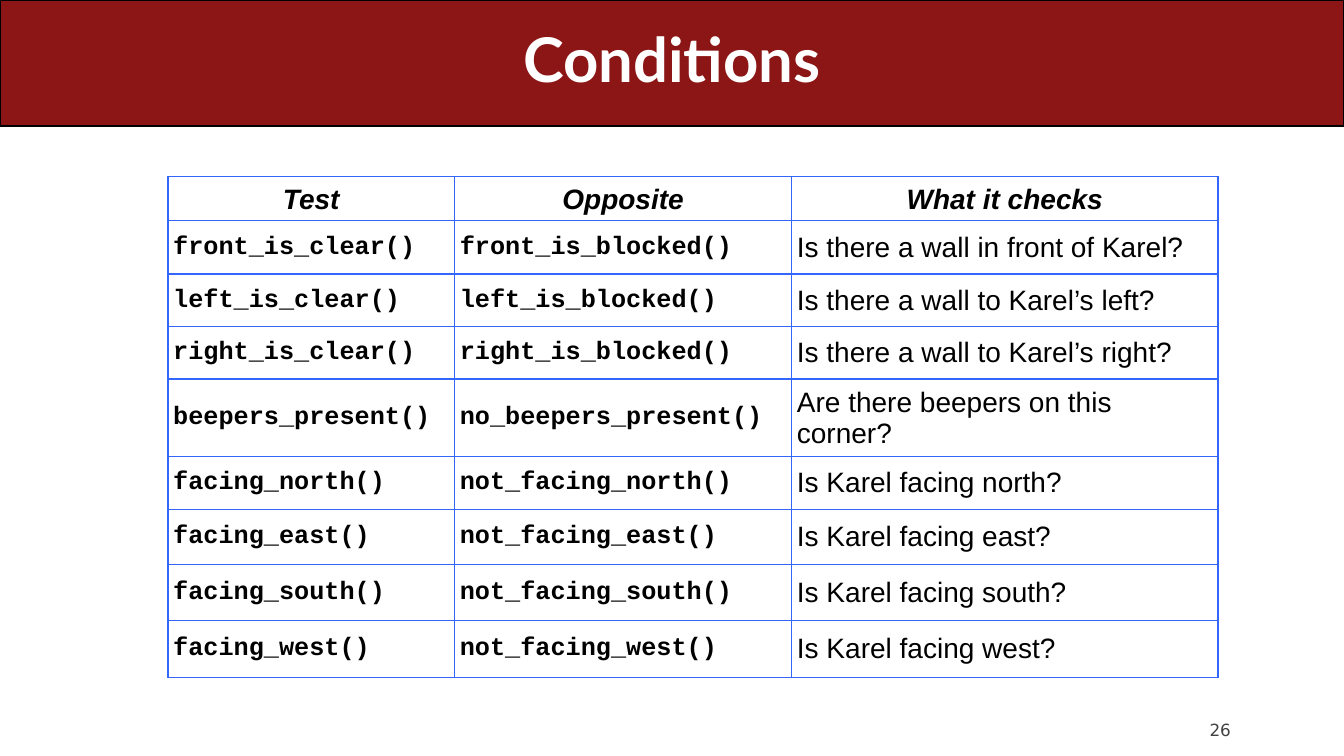
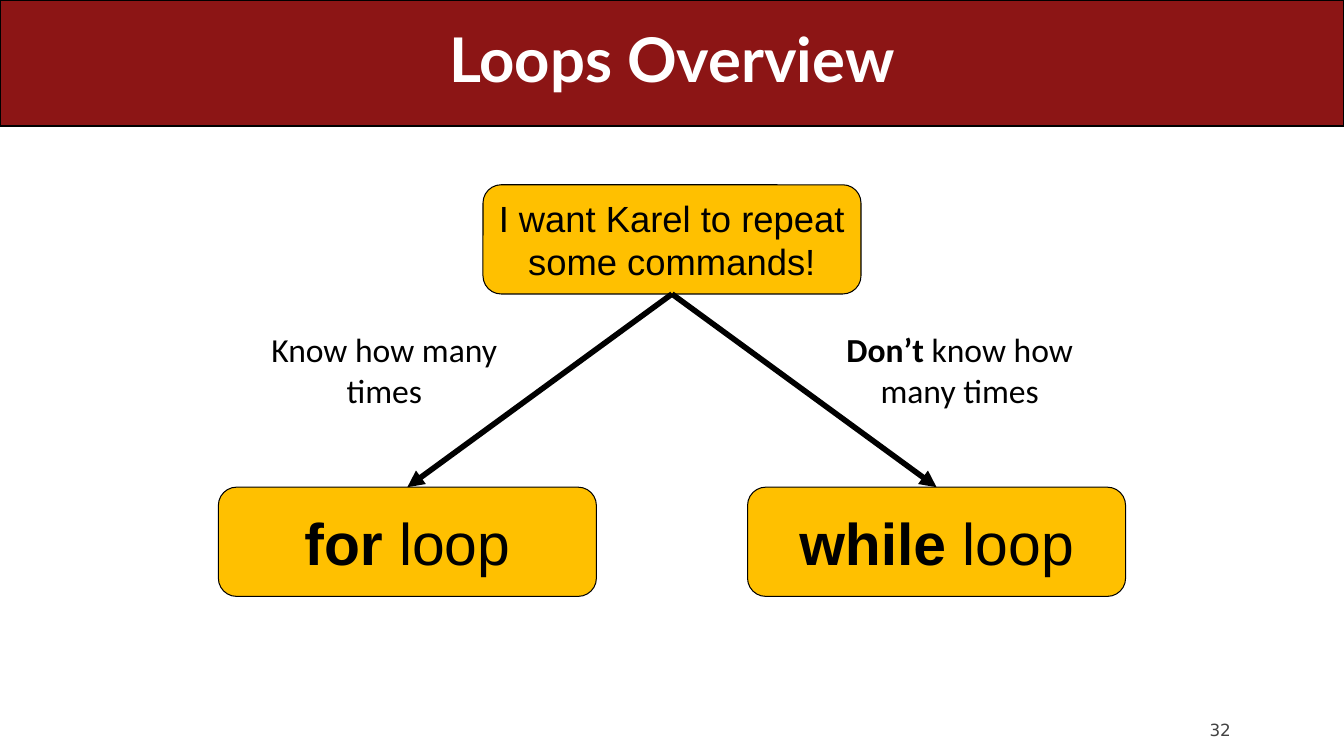
from lxml.etree import SubElement
from pptx import Presentation
from pptx.dml.color import RGBColor
from pptx.enum.shapes import MSO_CONNECTOR as CONNECTOR, MSO_SHAPE as SHAPE
from pptx.enum.text import MSO_ANCHOR as ANCHOR, MSO_AUTO_SIZE as AUTO_SIZE, PP_ALIGN as ALIGN
from pptx.oxml import parse_xml
from pptx.oxml.ns import nsdecls, qn
from pptx.util import Pt

PX = 9525  # EMU per pixel, 96 pixels to the inch
CARDINAL, GOLD, BLUE = "8C1515", "FFC000", "3366FF"
BLACK, WHITE, GRAY = "000000", "FFFFFF", "424242"


def color(value):
    return RGBColor.from_string(value)


def write(frame, text, lead="", size=20, font="Arial", ink=BLACK, bold=False, italic=False,
          align=ALIGN.CENTER, before=None, spacing=None):
    """Fill one paragraph; lead is a bold opening before the text."""
    frame.word_wrap = True
    paragraph = frame.paragraphs[0]
    paragraph.alignment = align
    paragraph.space_before = before
    paragraph.line_spacing = spacing
    for part, is_bold in ((lead, True), (text, bold)):
        if part:
            run = paragraph.add_run()
            run.text = part
            run.font.size, run.font.name = Pt(size), font
            run.font.bold, run.font.italic = is_bold, italic
            run.font.color.rgb = color(ink)


presentation = Presentation()
presentation.slide_width, presentation.slide_height = 1280 * PX, 720 * PX

# Shared band, title and page number
slides = []
for title, number in (("Conditions", "26"), ("Loops Overview", "32")):
    slide = presentation.slides.add_slide(presentation.slide_layouts[6])
    slides.append(slide)

    page_box = slide.shapes.add_textbox(1152 * PX, 667 * PX, 107 * PX, 38 * PX)
    page_frame = page_box.text_frame
    page_frame.margin_left = page_frame.margin_right = 0
    page_frame.margin_top = page_frame.margin_bottom = 0
    page_frame.vertical_anchor = ANCHOR.BOTTOM
    write(page_frame, number, size=12, font="DejaVu Sans", ink=GRAY,
          align=ALIGN.LEFT, before=Pt(5))

    band = slide.shapes.add_shape(SHAPE.ROUNDED_RECTANGLE, 0, 0, 1280 * PX, 120 * PX)
    band.adjustments[0] = 0
    band.shadow.inherit = False
    band.fill.solid()
    band.fill.fore_color.rgb = color(CARDINAL)
    band.line.color.rgb = color(BLACK)
    band.line.width = Pt(0.75)

    title_box = slide.shapes.add_textbox(48 * PX, 0, 1184 * PX, 120 * PX)
    title_box.text_frame.vertical_anchor = ANCHOR.MIDDLE
    write(title_box.text_frame, title, size=44, font="Lato", ink=WHITE, bold=True, spacing=0.9)

conditions, loops = slides

# Conditions: table of tests
rows = [
    ("Test", "Opposite", "What it checks"),
    ("front_is_clear()", "front_is_blocked()", "Is there a wall in front of Karel?"),
    ("left_is_clear()", "left_is_blocked()", "Is there a wall to Karel’s left?"),
    ("right_is_clear()", "right_is_blocked()", "Is there a wall to Karel’s right?"),
    ("beepers_present()", "no_beepers_present()", "Are there beepers on this corner?"),
]
for direction in ("north", "east", "south", "west"):
    rows.append((f"facing_{direction}()", f"not_facing_{direction}()",
                 f"Is Karel facing {direction}?"))
column_widths = [273, 321, 406]
row_heights = [39, 51, 50, 50, 53, 50, 53, 53, 54]

table = conditions.shapes.add_table(len(rows), len(column_widths), 160 * PX, 168 * PX,
                                    sum(column_widths) * PX, sum(row_heights) * PX).table
table.first_row = table.horz_banding = False
for column, width in zip(table.columns, column_widths):
    column.width = width * PX
for row, height in zip(table.rows, row_heights):
    row.height = height * PX

header_style = dict(bold=True, italic=True)
code_style = dict(size=18, font="Courier New", bold=True, align=ALIGN.LEFT)
question_style = dict(align=ALIGN.LEFT)
for row_index, texts in enumerate(rows):
    styles = [code_style, code_style, question_style] if row_index else [header_style] * 3
    for column_index, (text, style) in enumerate(zip(texts, styles)):
        cell = table.cell(row_index, column_index)
        cell.margin_left = cell.margin_right = cell.margin_top = cell.margin_bottom = 5 * PX
        cell.vertical_anchor = ANCHOR.MIDDLE if row_index else ANCHOR.BOTTOM
        write(cell.text_frame, text, **style)
        properties = cell._tc.get_or_add_tcPr()
        for side in ("lnL", "lnR", "lnT", "lnB"):
            properties.append(parse_xml(
                f'<a:{side} {nsdecls("a")} w="{Pt(1)}"><a:solidFill>'
                f'<a:srgbClr val="{BLUE}"/></a:solidFill></a:{side}>'))
        cell.fill.background()

# Loops Overview: decision boxes
boxes = []
for left, top, lead, text, size in (
    (460, 176, "", "I want Karel to repeat some commands!", 26),
    (208, 464, "for", " loop", 42),
    (712, 464, "while ", "loop", 42),
):
    box = loops.shapes.add_shape(SHAPE.ROUNDED_RECTANGLE, left * PX, top * PX,
                                 360 * PX, 104 * PX)
    box.shadow.inherit = False
    box.fill.solid()
    box.fill.fore_color.rgb = color(GOLD)
    box.line.color.rgb = color(BLACK)
    box.line.width = Pt(0.75)
    box.text_frame.vertical_anchor = ANCHOR.MIDDLE
    write(box.text_frame, text, lead=lead, size=size)
    boxes.append(box)

# Arrows from the question to each loop
question, *answers = boxes
for answer in answers:
    arrow = loops.shapes.add_connector(CONNECTOR.STRAIGHT, 0, 0, 0, 0)
    arrow.begin_connect(question, 2)
    arrow.end_connect(answer, 0)
    arrow.line.color.rgb = color(BLACK)
    arrow.line.width = Pt(4)
    SubElement(arrow.line._get_or_add_ln(), qn("a:tailEnd"), type="triangle")
    SubElement(arrow._element.spPr, qn("a:effectLst"))

# Labels beside the arrows
for left, lead, text in ((240, "", "Know how many times"), (788, "Don’t ", "know how many times")):
    label = loops.shapes.add_textbox(left * PX, 309 * PX, 252 * PX, 87 * PX)
    write(label.text_frame, text, lead=lead, size=24, font="Calibri")
    label.text_frame.auto_size = AUTO_SIZE.SHAPE_TO_FIT_TEXT

presentation.save("out.pptx")
